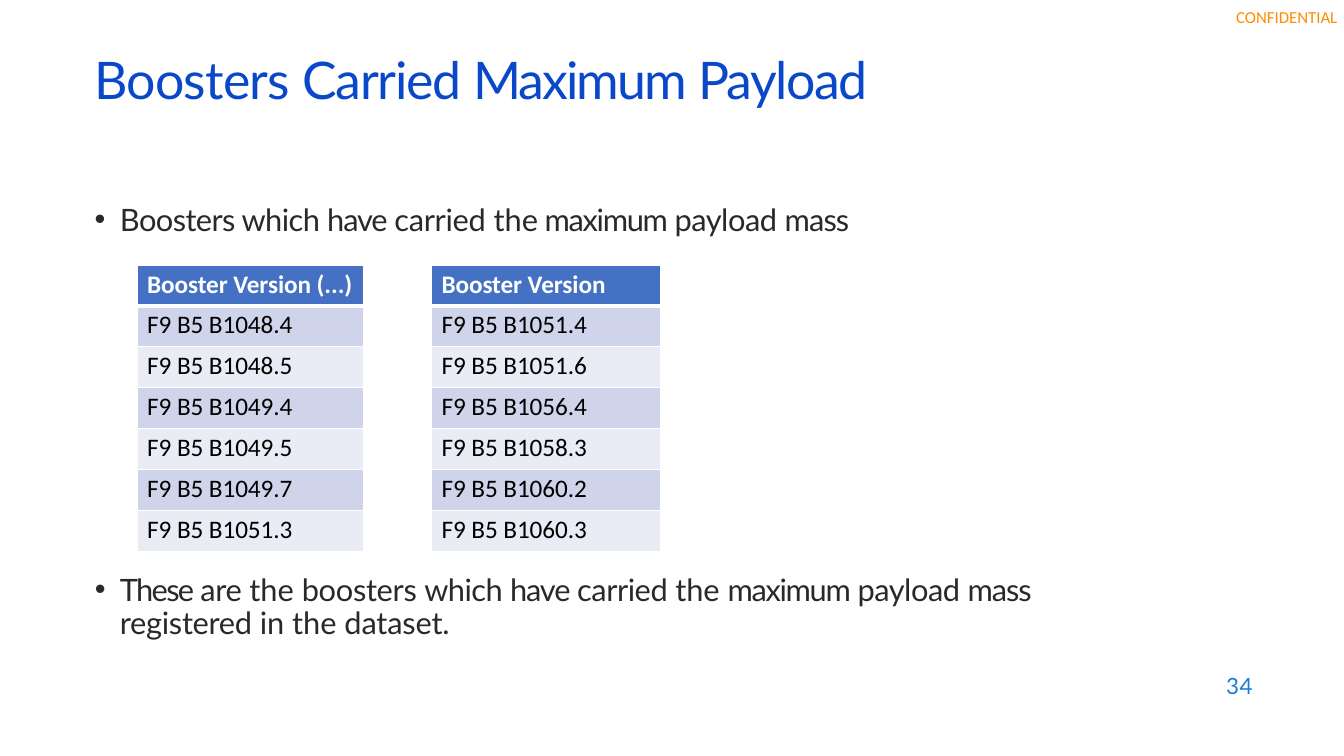
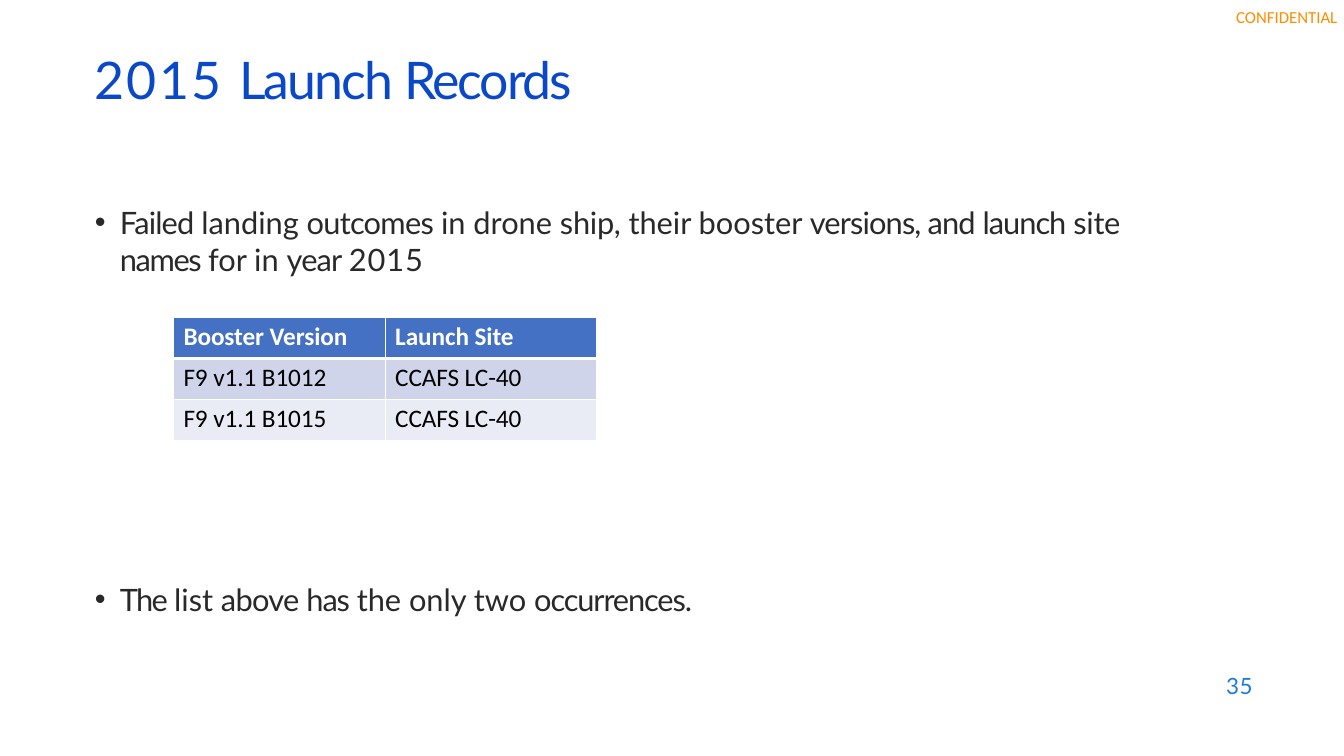
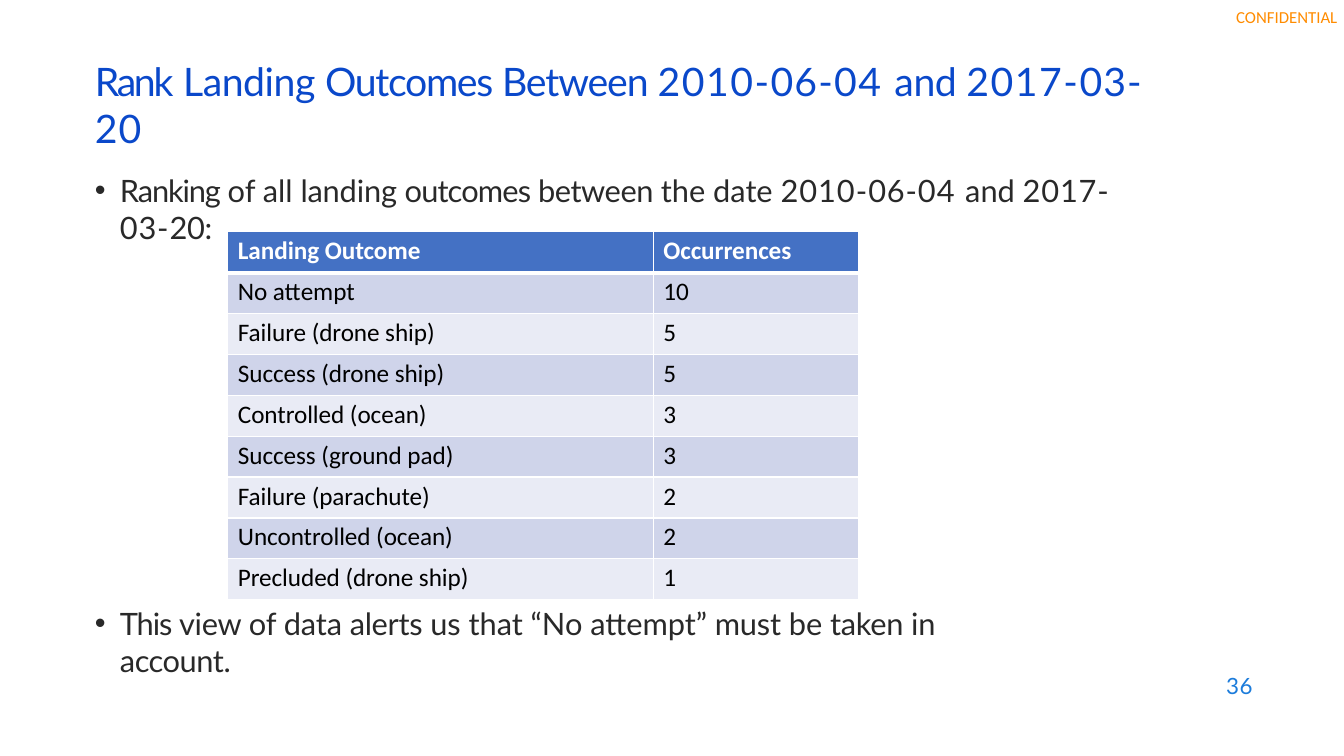
from dataclasses import dataclass

from lxml.etree import SubElement
from pptx import Presentation
from pptx.dml.color import RGBColor
from pptx.enum.text import MSO_ANCHOR, MSO_AUTO_SIZE
from pptx.oxml.ns import qn
from pptx.util import Inches, Pt


@dataclass(frozen=True)
class Theme:
    heading_font: str = "Lato"
    table_font: str = "Calibri"
    title: str = "0A48CA"
    body: str = "292929"
    number: str = "1C7CDB"
    notice: str = "FF8C00"
    white: str = "FFFFFF"
    black: str = "000000"
    header_fill: str = "4471C4"
    odd_fill: str = "CFD4EA"
    even_fill: str = "E9EBF5"
    title_size: float = 37
    long_title_size: float = 28
    body_size: float = 22
    table_size: float = 18
    number_size: float = 16
    notice_size: float = 12
    left: float = 0.93


THEME = Theme()


def write_text(frame, spans, *, size, color, font=THEME.heading_font, bold=False,
               indent=0, hanging=0, bullet=None, line=None, top=0, bottom=0):
    """Fill a frame with one paragraph of (text, letter spacing in points) spans."""
    frame.margin_left = frame.margin_right = 0
    frame.margin_top, frame.margin_bottom = Inches(top), Inches(bottom)
    para = frame.paragraphs[0]
    properties = para._p.get_or_add_pPr()
    properties.set("marL", str(Inches(indent)))
    properties.set("indent", str(Inches(-hanging)))
    if bullet:
        SubElement(properties, qn("a:buFont")).set("typeface", "Arial")
        SubElement(properties, qn("a:buChar")).set("char", bullet)
    if line:
        para.line_spacing = Pt(line)
    para.font.size = Pt(size)
    for text, spacing in spans:
        span = para.add_run()
        span.text = text
        span.font.name = font
        span.font.size = Pt(size)
        span.font.bold = bold
        span.font.color.rgb = RGBColor.from_string(color)
        span._r.get_or_add_rPr().set("spc", str(round(spacing * 100)))


def add_text(page, spans, left, top_edge, width, height, **text_format):
    box = page.shapes.add_textbox(
        Inches(left), Inches(top_edge), Inches(width), Inches(height))
    frame = box.text_frame
    frame.word_wrap = True
    frame.auto_size = MSO_AUTO_SIZE.SHAPE_TO_FIT_TEXT
    write_text(frame, spans, **text_format)


def add_bullet(page, spans, top_edge, width, height, top=0.01, line=None):
    add_text(page, spans, THEME.left, top_edge, width, height,
             size=THEME.body_size, color=THEME.body, bullet="•",
             indent=0.26, hanging=0.25, top=top, line=line)


def add_border(cell, side, width):
    border = SubElement(cell._tc.get_or_add_tcPr(), qn(f"a:ln{side}"), w=str(Pt(width)))
    fill = SubElement(border, qn("a:solidFill"))
    SubElement(fill, qn("a:srgbClr"), val=THEME.white)


def style_cell(cell, text, row_index):
    is_header = row_index == 0
    widths = {"L": 1, "R": 1, "T": 3 if row_index == 1 else 1, "B": 3 if is_header else 1}
    for side, width in widths.items():
        add_border(cell, side, width)
    if is_header:
        fill = THEME.header_fill
    else:
        fill = THEME.odd_fill if row_index % 2 else THEME.even_fill
    cell.fill.solid()
    cell.fill.fore_color.rgb = RGBColor.from_string(fill)
    cell.vertical_anchor = MSO_ANCHOR.TOP
    write_text(cell.text_frame, [(text, -0.05)], size=THEME.table_size,
               color=THEME.white if is_header else THEME.black,
               font=THEME.table_font, bold=is_header, indent=0.1)
    cell.margin_left = cell.margin_right = cell.margin_bottom = 0
    cell.margin_top = Inches(0.04)


def add_data_table(page, rows, left, top, column_widths, height):
    table = page.shapes.add_table(
        len(rows), len(column_widths), Inches(left), Inches(top),
        Inches(sum(column_widths)), Inches(height)).table
    table.horz_banding = False
    for column, width in zip(table.columns, column_widths):
        column.width = Inches(width)
    for row_index, values in enumerate(rows):
        table.rows[row_index].height = Inches(height / len(rows))
        for column_index, value in enumerate(values):
            style_cell(table.cell(row_index, column_index), value, row_index)


def add_page(deck, number, title, size=THEME.title_size, top=0.01):
    """Add a page with its notice, title and page number."""
    page = deck.slides.add_slide(deck.slide_layouts[6])
    add_text(page, [("CONFIDENTIAL", 0)], 12.26, 0.07, 1.05, 0.2,
             size=THEME.notice_size, color=THEME.notice, font=THEME.table_font)
    add_text(page, title, THEME.left, 0.46, 10.85, 0.81, size=size,
             color=THEME.title, indent=0.01, top=top)
    add_text(page, [(str(number), 0.5)], 12.12, 6.68, 0.37, 0.28,
             size=THEME.number_size, color=THEME.number, indent=0.04, line=18.4)
    return page


def add_payload_page(deck):
    page = add_page(deck, 34, [("Boosters ", -0.6), ("Carried ", -0.9),
                               ("Maximum ", -1.4), ("Payload", -1.1)])
    add_bullet(page, [("Boosters which ", -0.4), ("have ", -0.8), ("carried ", -0.2),
                      ("the", 0), (" maximum ", -0.9), ("payload ", -0.3),
                      ("mass", -0.6)], 1.98, 7.64, 0.39)
    first = ["B1048.4", "B1048.5", "B1049.4", "B1049.5", "B1049.7", "B1051.3"]
    second = ["B1051.4", "B1051.6", "B1056.4", "B1058.3", "B1060.2", "B1060.3"]
    for header, boosters, left, width in (
            ("Booster Version (...)", first, 1.36, 2.25),
            ("Booster Version", second, 4.28, 2.27)):
        rows = [[header]] + [[f"F9 B5 {booster}"] for booster in boosters]
        add_data_table(page, rows, left, 2.63, [width], 2.84)
    add_bullet(page, [("These ", -1.2), ("are ", -0.2), ("the ", 0), ("boosters ", -0.2),
                      ("which ", -0.4), ("have ", -0.8), ("carried ", -0.3), ("the ", 0),
                      ("maximum ", -0.9), ("payload ", -0.3), ("mass ", -0.7),
                      ("registered ", -0.2), ("in the ", 0), ("dataset.", -0.1)],
               5.65, 9.48, 0.73, top=0.05, line=23.8)


def add_launch_page(deck):
    page = add_page(deck, 35, [("2015 ", 1.6), ("Launch ", -1.4), ("Records", -1.6)])
    add_bullet(page, [("Failed ", -0.6), ("landing ", 0), ("outcomes ", -0.5),
                      ("in drone ", 0), ("ship, ", -0.2), ("their booster ", 0),
                      ("versions, and ", -0.6), ("launch ", -0.7), ("site ", -0.2),
                      ("names ", -1), ("for in ", 0), ("year ", -0.6), ("2015", 0.7)],
               2.01, 10.41, 0.76)
    rows = [("Booster Version", "Launch Site"),
            ("F9 v1.1 B1012", "CCAFS LC-40"),
            ("F9 v1.1 B1015", "CCAFS LC-40")]
    add_data_table(page, rows, 1.72, 3.15, [2.1, 2.1], 1.22)
    add_bullet(page, [("The ", -1.2), ("list ", 0), ("above ", -0.5), ("has ", -0.8),
                      ("the only two ", 0), ("occurrences.", -0.8)], 5.75, 6.05, 0.39)


def add_ranking_page(deck):
    page = add_page(deck, 36, [("Rank", -1.6), (" Landing ", -0.3), ("Outcomes ", -0.9),
                               ("Between ", -0.8), ("2010-", 1.1), ("06-", 0.8),
                               ("04 ", 1.2), ("and ", -0.3), ("2017-", 1.1),
                               ("03-20", 0.8)],
                    size=THEME.long_title_size, top=0.11)
    add_bullet(page, [("Ranking ", -0.8), ("of all ", 0), ("landing ", -0.1),
                      ("outcomes ", -0.6), ("between ", -0.3), ("the date ", 0),
                      ("2010-", 0.7), ("06-", 0.6), ("04 ", 0.9), ("and ", 0),
                      ("2017-03-", 0.6), ("20:", -0.2)], 1.69, 10.09, 0.76)
    rows = [("Landing Outcome", "Occurrences"),
            ("No attempt", "10"),
            ("Failure (drone ship)", "5"),
            ("Success (drone ship)", "5"),
            ("Controlled (ocean)", "3"),
            ("Success (ground pad)", "3"),
            ("Failure (parachute)", "2"),
            ("Uncontrolled (ocean)", "2"),
            ("Precluded (drone ship)", "1")]
    add_data_table(page, rows, 2.26, 2.3, [4.22, 2.04], 3.65)
    add_bullet(page, [("This ", -0.8), ("view ", -0.2), ("of ", 0), ("data ", -0.1),
                      ("alerts ", -0.2), ("us that “No attempt” ", 0), ("must ", -0.1),
                      ("be ", 0), ("taken ", -0.2), ("in ", 0), ("account.", -0.3)],
               5.99, 9.51, 0.39)


def main():
    deck = Presentation()
    deck.slide_width, deck.slide_height = Inches(13.33), Inches(7.5)
    add_payload_page(deck)
    add_launch_page(deck)
    add_ranking_page(deck)
    deck.save("out.pptx")


if __name__ == "__main__":
    main()
